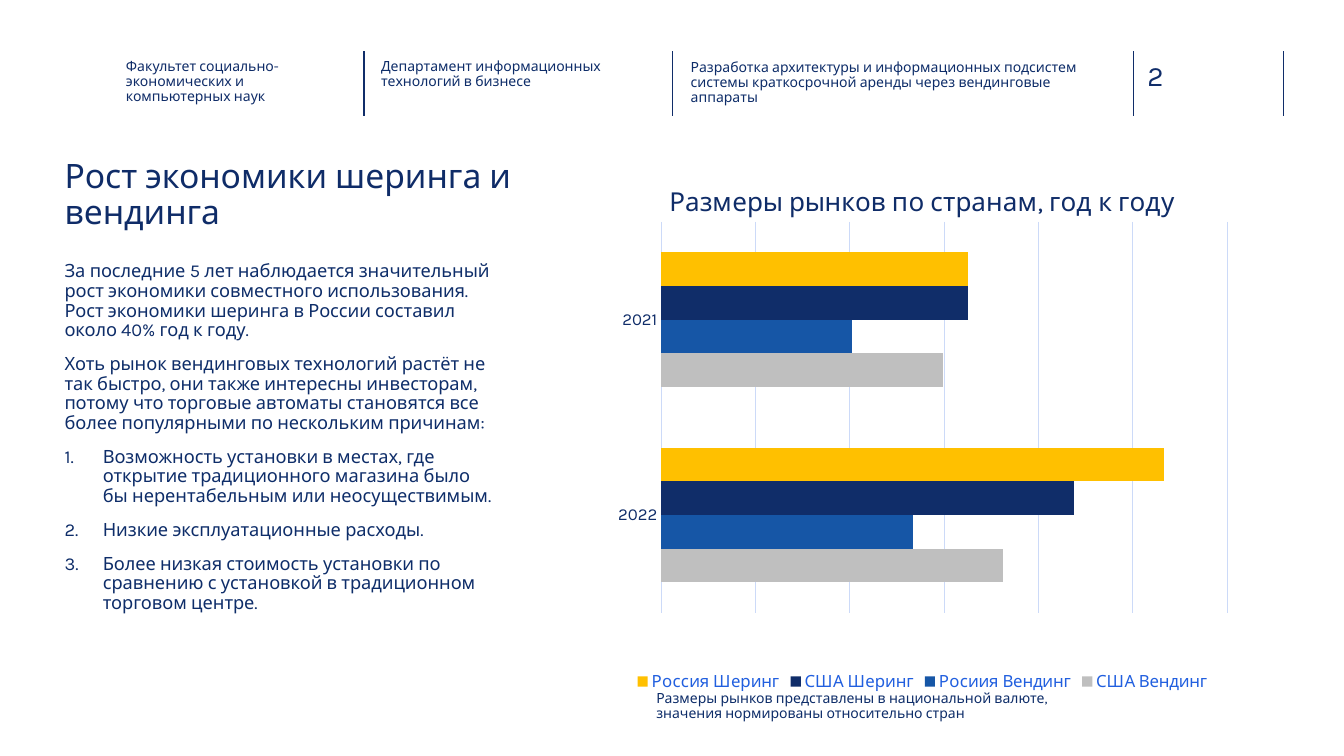
import pptx
import pptx.chart.data
import pptx.dml.color
import pptx.enum.chart
import pptx.enum.text
import pptx.oxml
import pptx.oxml.ns
import pptx.util
from pptx.util import Inches, Pt

NAVY = "0F2C68"
DEEP = "102D69"
INK = "0E2D69"
PALE = "CCDAF8"


def rgb(code):
    return pptx.dml.color.RGBColor.from_string(code)


def write(shape, paras, size, color=INK, gap=0, spacing=0.9, listed=(), bottom=0):
    """Fill a shape with paragraphs; those whose index is in listed are numbered."""
    frame = shape.text_frame
    frame.word_wrap = True
    frame.auto_size = pptx.enum.text.MSO_AUTO_SIZE.NONE
    frame.vertical_anchor = pptx.enum.text.MSO_ANCHOR.TOP
    frame.margin_left = frame.margin_right = frame.margin_top = 0
    frame.margin_bottom = Inches(bottom)
    for i, text in enumerate(paras):
        para = frame.paragraphs[0] if i == 0 else frame.add_paragraph()
        para.alignment = pptx.enum.text.PP_ALIGN.LEFT
        para.line_spacing = spacing
        para.space_before = Pt(gap if i else 0)
        if i in listed:
            props = para._p.get_or_add_pPr()
            props.set("marL", str(Inches(0.38)))
            props.set("indent", str(-Inches(0.38)))
            num = pptx.oxml.parse_xml(
                f'<a:buAutoNum {pptx.oxml.ns.nsdecls("a")} type="arabicPeriod"/>')
            props.append(num)
        run = para.add_run()
        run.text = text
        run.font.name = "Karla"
        run.font.size = Pt(size)
        run.font.color.rgb = rgb(color)


deck = pptx.Presentation()
deck.slide_width = Inches(13.33)
deck.slide_height = Inches(7.5)
slide = deck.slides.add_slide(deck.slide_layouts[5])
shapes = slide.shapes

# Header rules
for x in (3.61, 6.67, 11.24, 12.73):
    rule = shapes.add_connector(pptx.enum.shapes.MSO_CONNECTOR.STRAIGHT,
                                Inches(x), Inches(0.51), Inches(x), Inches(1.15))
    rule.line.color.rgb = rgb(DEEP)
    rule.line.width = Pt(1)
    rule._element.spPr.append(
        pptx.oxml.parse_xml(f'<a:effectLst {pptx.oxml.ns.nsdecls("a")}/>'))

# Title
title = shapes.title
title.left, title.top = Inches(0.64), Inches(1.58)
title.width, title.height = Inches(4.73), Inches(0.85)
write(title, ["Рост экономики шеринга и вендинга"], 24, color=NAVY)

# Market chart
data = pptx.chart.data.CategoryChartData()
data.categories = ["2022", "2021"]
markets = [
    ("США Вендинг", (68, 56), "BFBFBF"),
    ("Росиия Вендинг", (50, 38), "1656A6"),
    ("США Шеринг", (82, 61), DEEP),
    ("Россия Шеринг", (100, 61), "FFC000"),
]
for name, sizes, color in markets:
    data.add_series(name, sizes)
chart = shapes.add_chart(pptx.enum.chart.XL_CHART_TYPE.BAR_CLUSTERED, Inches(5.61),
                         Inches(1.62), Inches(7.08), Inches(5.28), data).chart
chart.font.name = "Calibri"
chart.font.size = Pt(10)
chart.font.color.rgb = rgb(NAVY)

chart.has_title = True
head = chart.chart_title.text_frame.paragraphs[0].add_run()
head.text = "Размеры рынков по странам, год к году"
head.font.name = "Karla"
head.font.size = Pt(18.6)
head.font.bold = False
head.font.color.rgb = rgb(NAVY)

plot = chart.plots[0]
plot.gap_width = 182
plot.overlap = 0
plot.vary_by_categories = False
for series, (name, sizes, color) in zip(plot.series, markets):
    series.format.fill.solid()
    series.format.fill.fore_color.rgb = rgb(color)

years = chart.category_axis
years.major_tick_mark = pptx.enum.chart.XL_TICK_MARK.NONE
years.tick_labels.font.name = "Karla"
years.tick_labels.font.size = Pt(12)
years.tick_labels.font.color.rgb = rgb(DEEP)
scale = chart.value_axis
scale.visible = False
scale.minimum_scale = 0
scale.maximum_scale = 112.5
scale.major_unit = 18.75
scale.has_major_gridlines = True
for line in (years.format.line, scale.major_gridlines.format.line):
    line.color.rgb = rgb(PALE)
    line.width = Pt(0.75)

chart.has_legend = True
legend = chart.legend
legend.position = pptx.enum.chart.XL_LEGEND_POSITION.BOTTOM
legend.include_in_layout = False
legend.font.name = "Karla"
legend.font.size = Pt(12)
legend.font.color.rgb = rgb("215FDF")

area = chart._chartSpace.chart.plotArea
for old in area.findall(pptx.oxml.ns.qn("c:layout")):
    area.remove(old)
area.insert(0, pptx.oxml.parse_xml(
    f'<c:layout {pptx.oxml.ns.nsdecls("c")}><c:manualLayout>'
    '<c:layoutTarget val="inner"/><c:xMode val="edge"/><c:yMode val="edge"/>'
    '<c:x val="0.134"/><c:y val="0.11"/><c:w val="0.793"/><c:h val="0.735"/>'
    '</c:manualLayout></c:layout>'))

# Text blocks: place, paragraphs, format
story = [
    "За последние 5 лет наблюдается значительный рост экономики совместного "
    "использования. Рост экономики шеринга в России составил около 40% год к году.",
    "Хоть рынок вендинговых технологий растёт не так быстро, они также интересны "
    "инвесторам, потому что торговые автоматы становятся все более популярными "
    "по нескольким причинам:",
    "Возможность установки в местах, где открытие традиционного магазина было бы "
    "нерентабельным или неосуществимым.",
    "Низкие эксплуатационные расходы.",
    "Более низкая стоимость установки по сравнению с установкой в традиционном "
    "торговом центре.",
]
blocks = [
    ((1.25, 0.59, 2.24, 0.45), ["Факультет социально-экономических и компьютерных наук"],
     dict(size=10, color=NAVY)),
    ((3.78, 0.59, 2.49, 0.45), ["Департамент информационных технологий в бизнесе"],
     dict(size=10)),
    ((6.85, 0.6, 3.85, 0.45),
     ["Разработка архитектуры и информационных подсистем системы краткосрочной "
      "аренды через вендинговые аппараты"], dict(size=10)),
    ((11.38, 0.58, 0.73, 0.34), ["2"], dict(size=20, color=DEEP, spacing=1.0)),
    ((0.64, 2.6, 4.3, 4.26), story,
     dict(size=13, gap=10, listed=(2, 3, 4), bottom=0.05)),
    ((6.51, 6.86, 4.3, 0.61),
     ["Размеры рынков представлены в национальной валюте, значения нормированы "
      "относительно стран"], dict(size=10, bottom=0.05)),
]
for place, paras, style in blocks:
    box = shapes.add_textbox(*[Inches(n) for n in place])
    write(box, paras, **style)

deck.save("out.pptx")
